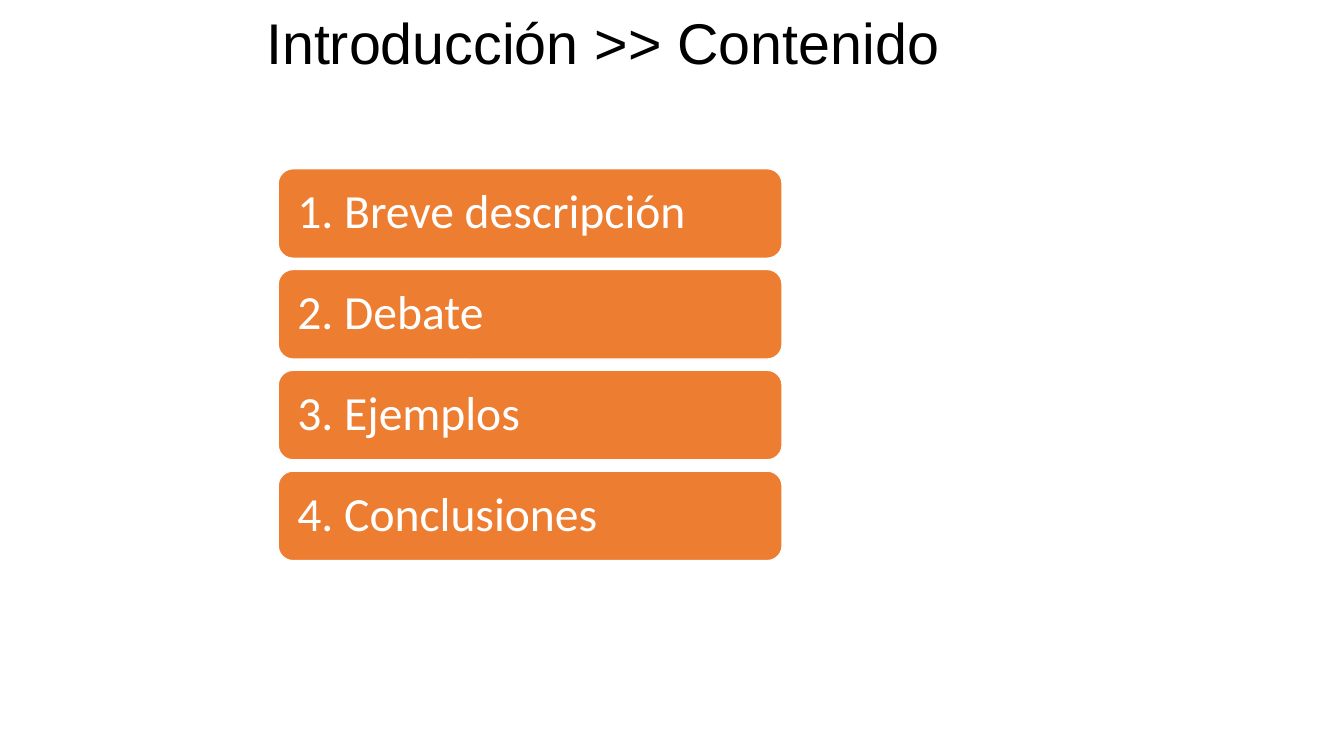
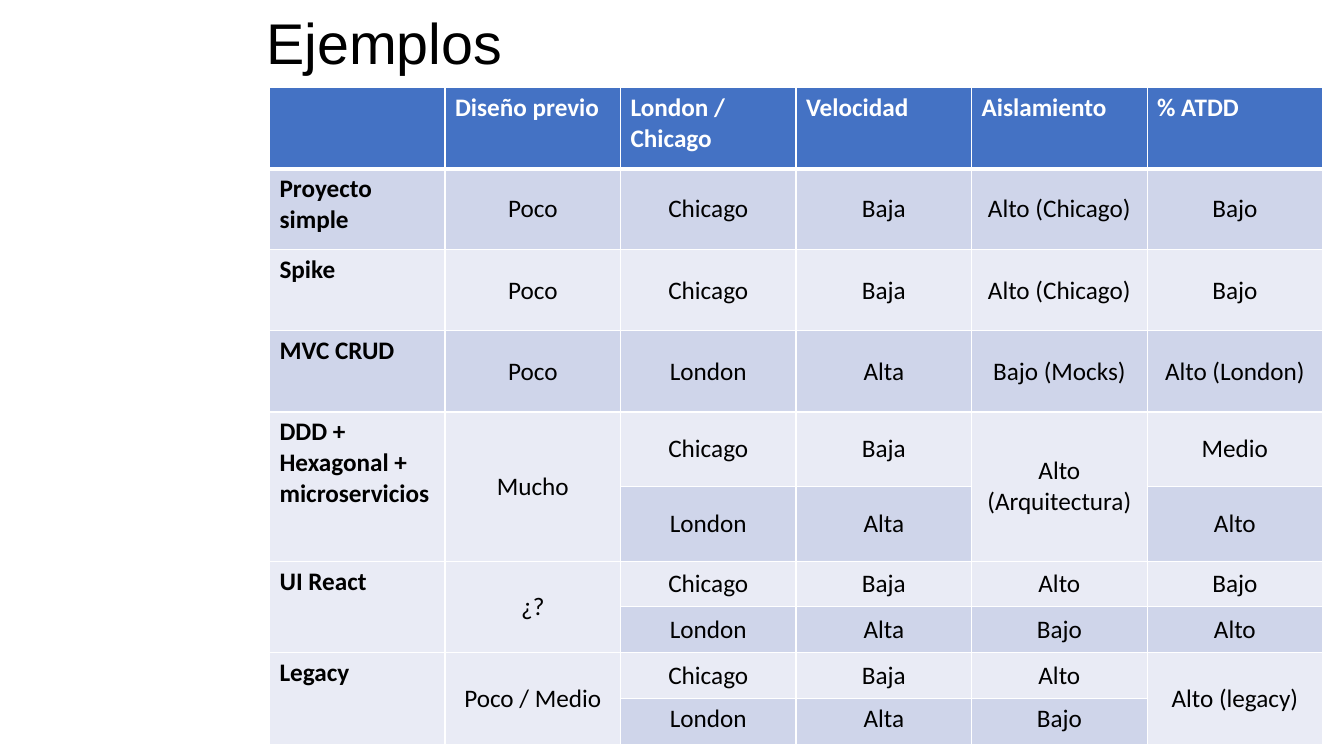
"""Build two slides: the contents list and a table comparing project types."""

from lxml import etree
from pptx import Presentation
from pptx.dml.color import RGBColor
from pptx.enum.shapes import MSO_SHAPE
from pptx.enum.text import MSO_ANCHOR, MSO_AUTO_SIZE, PP_ALIGN
from pptx.oxml.ns import qn
from pptx.util import Pt

ROUNDED = MSO_SHAPE.ROUNDED_RECTANGLE
TOP, MIDDLE = MSO_ANCHOR.TOP, MSO_ANCHOR.MIDDLE
LEFT, CENTER = PP_ALIGN.LEFT, PP_ALIGN.CENTER
NO_AUTOFIT = MSO_AUTO_SIZE.NONE

TITLE_ONLY = 5
COLORS = {
    "white": "FFFFFF",
    "black": "000000",
    "box": "ED7D31",
    "header": "4472C4",
    "dark_band": "CFD5EA",
    "light_band": "E9EBF5",
}
TITLE_FONT = {"name": "Arial", "size": Pt(41), "bold": False}
BOX_FONT = {"name": "Calibri", "size": Pt(34), "bold": False}
LABEL_FONT = {"name": "Calibri", "size": Pt(18), "bold": True}
VALUE_FONT = {**LABEL_FONT, "bold": False}
TIGHT_LEFT = {"alignment": LEFT, "line_spacing": 0.9}

CONTENTS = ["1. Breve descripción", "2. Debate", "3. Ejemplos", "4. Conclusiones"]

# A None continues the cell above it.
EXAMPLES = [
    ["", "Diseño previo", "London / Chicago", "Velocidad", "Aislamiento", "% ATDD"],
    ["Proyecto simple", "Poco", "Chicago", "Baja", "Alto (Chicago)", "Bajo"],
    ["Spike", "Poco", "Chicago", "Baja", "Alto (Chicago)", "Bajo"],
    ["MVC CRUD", "Poco", "London", "Alta", "Bajo (Mocks)", "Alto (London)"],
    ["DDD + Hexagonal + microservicios", "Mucho", "Chicago", "Baja",
     "Alto (Arquitectura)", "Medio"],
    [None, None, "London", "Alta", None, "Alto"],
    ["UI React", "¿?", "Chicago", "Baja", "Alto", "Bajo"],
    [None, None, "London", "Alta", "Bajo", "Alto"],
    ["Legacy", "Poco / Medio", "Chicago", "Baja", "Alto", "Alto (legacy)"],
    [None, None, "London", "Alta", "Bajo", None],
]
COLUMN_WIDTH = 125.4
ROW_HEIGHTS = [57.9] * 4 + [53.4] * 2 + [32.5] * 2 + [33] * 2


def color(name):
    return RGBColor.from_string(COLORS[name])


def set_attributes(target, values):
    for name, value in values.items():
        setattr(target, name, value)


def write_text(text_frame, text, font, color_name, layout):
    text_frame.text = text
    paragraph = text_frame.paragraphs[0]
    set_attributes(paragraph, layout)
    set_attributes(paragraph.font, font)
    paragraph.font.color.rgb = color(color_name)


def add_titled_slide(presentation, text, width):
    slide = presentation.slides.add_slide(presentation.slide_layouts[TITLE_ONLY])
    title = slide.shapes.title
    set_attributes(title, {"left": Pt(183), "top": Pt(6.5),
                           "width": Pt(width), "height": Pt(52.5)})
    set_attributes(title.text_frame, {"auto_size": NO_AUTOFIT, "word_wrap": True,
                                      "vertical_anchor": MIDDLE})
    write_text(title.text_frame, text, TITLE_FONT, "black", TIGHT_LEFT)
    return slide


def add_box(slide, text, top):
    shape = slide.shapes.add_shape(ROUNDED, Pt(198.7), Pt(top), Pt(360), Pt(64))
    shape.shadow.inherit = False
    shape.fill.solid()
    shape.fill.fore_color.rgb = color("box")
    shape.line.color.rgb = color("white")
    shape.line.width = Pt(1)
    set_attributes(shape.text_frame, {"word_wrap": True, "vertical_anchor": MIDDLE,
                                      "margin_left": Pt(10.6), "margin_right": Pt(10.6)})
    write_text(shape.text_frame, text, BOX_FONT, "white", TIGHT_LEFT)


def add_borders(cell, widths):
    properties = cell._tc.get_or_add_tcPr()
    for side, width in widths.items():
        line = etree.SubElement(properties, qn(f"a:ln{side}"), w=str(Pt(width)))
        fill = etree.SubElement(line, qn("a:solidFill"))
        etree.SubElement(fill, qn("a:srgbClr"), val=COLORS["white"])


def format_cell(cell, text, row, column):
    is_header = row == 0
    is_value = not is_header and column > 0
    add_borders(cell, {"L": 1, "R": 1, "T": 3 if row == 1 else 1,
                       "B": 3 if is_header else 1})
    cell.fill.solid()
    band = "dark_band" if row % 2 else "light_band"
    cell.fill.fore_color.rgb = color("header" if is_header else band)
    is_last = row == len(EXAMPLES) - 1
    cell.vertical_anchor = MIDDLE if is_value and not is_last else TOP
    if text is not None:
        write_text(cell.text_frame, text, VALUE_FONT if is_value else LABEL_FONT,
                   "white" if is_header else "black",
                   {"alignment": CENTER if is_value else LEFT})


def add_examples_table(slide):
    column_count = len(EXAMPLES[0])
    frame = slide.shapes.add_table(len(EXAMPLES), column_count, Pt(192.5), Pt(62.7),
                                   Pt(COLUMN_WIDTH * column_count), Pt(sum(ROW_HEIGHTS)))
    table = frame.table
    table.horz_banding = False
    for column in table.columns:
        column.width = Pt(COLUMN_WIDTH)
    for row, height in zip(table.rows, ROW_HEIGHTS):
        row.height = Pt(height)
    for row, texts in enumerate(EXAMPLES):
        for column, text in enumerate(texts):
            cell = table.cell(row, column)
            format_cell(cell, text, row, column)
            if text is None:
                table.cell(row - 1, column).merge(cell)


def main():
    presentation = Presentation()
    set_attributes(presentation, {"slide_width": Pt(960), "slide_height": Pt(540)})

    contents = add_titled_slide(presentation, "Introducción >> Contenido", 547)
    for index, text in enumerate(CONTENTS):
        add_box(contents, text, 120.5 + 72 * index)

    examples = add_titled_slide(presentation, "Ejemplos", 767)
    add_examples_table(examples)

    presentation.save("out.pptx")


if __name__ == "__main__":
    main()
